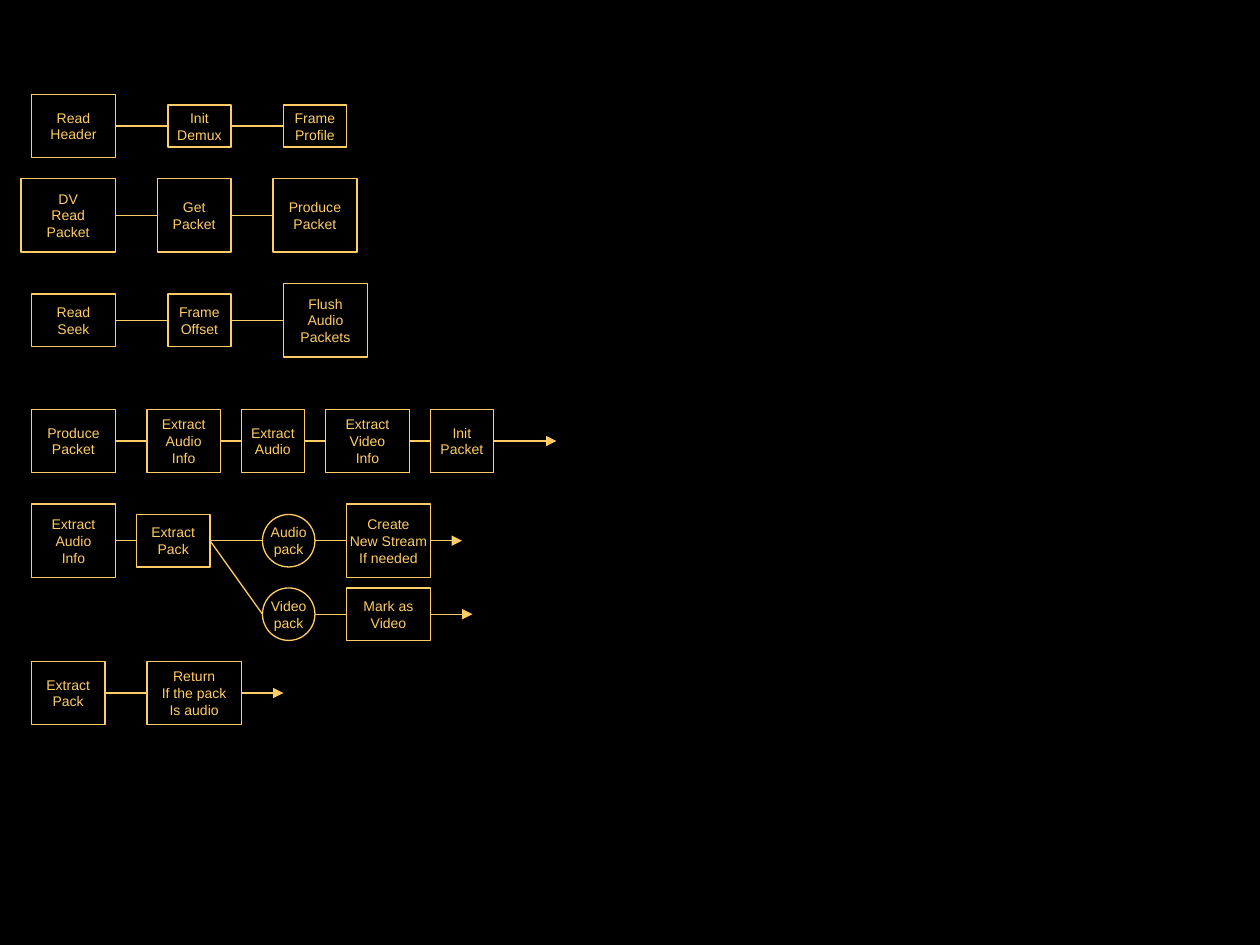
from dataclasses import dataclass
from typing import Optional

from lxml.etree import SubElement
from pptx import Presentation
from pptx.dml.color import RGBColor
from pptx.enum.shapes import MSO_CONNECTOR as Connector, MSO_SHAPE as Shape
from pptx.enum.text import MSO_ANCHOR as Anchor, PP_ALIGN as Align
from pptx.oxml.ns import qn
from pptx.util import Inches, Pt

BLACK = RGBColor(0x00, 0x00, 0x00)
AMBER = RGBColor(0xFF, 0xCC, 0x66)
FONT = "Arial"
LINE_WIDTH = Pt(0.75)
CELLS_PER_INCH = 12


@dataclass(frozen=True)
class Node:
    """A step of a flow; lengths are in grid cells."""
    left: float
    width: float
    height: float
    text: str
    kind: Shape = Shape.RECTANGLE

    @property
    def right(self) -> float:
        return self.left + self.width


@dataclass(frozen=True)
class Flow:
    """Nodes joined from left to right on one center line."""
    center: float
    nodes: tuple[Node, ...]
    arrow_end: Optional[float] = None


AUDIO_PACK = Node(25, 5, 5, "Audio\npack", Shape.OVAL)
VIDEO_PACK = Node(25, 5, 5, "Video\npack", Shape.OVAL)
PACK_SPLIT = Node(13, 7, 5, "Extract\nPack")

AUDIO_FLOW = Flow(51.5, (
    Node(3, 8, 7, "Extract\nAudio\nInfo"),
    PACK_SPLIT,
    AUDIO_PACK,
    Node(33, 8, 7, "Create\nNew Stream\nIf needed"),
), 44)
VIDEO_FLOW = Flow(58.5, (VIDEO_PACK, Node(33, 8, 5, "Mark as\nVideo")), 45)

FLOWS = (
    Flow(12, (
        Node(3, 8, 6, "Read\nHeader"),
        Node(16, 6, 4, "Init\nDemux"),
        Node(27, 6, 4, "Frame\nProfile"),
    )),
    Flow(20.5, (
        Node(2, 9, 7, "DV\nRead\nPacket"),
        Node(15, 7, 7, "Get\nPacket"),
        Node(26, 8, 7, "Produce\nPacket"),
    )),
    Flow(30.5, (
        Node(3, 8, 5, "Read\nSeek"),
        Node(16, 6, 5, "Frame\nOffset"),
        Node(27, 8, 7, "Flush\nAudio\nPackets"),
    )),
    Flow(42, (
        Node(3, 8, 6, "Produce\nPacket"),
        Node(14, 7, 6, "Extract\nAudio\nInfo"),
        Node(23, 6, 6, "Extract\nAudio"),
        Node(31, 8, 6, "Extract\nVideo\nInfo"),
        Node(41, 6, 6, "Init\nPacket"),
    ), 53),
    AUDIO_FLOW,
    VIDEO_FLOW,
    Flow(66, (
        Node(3, 7, 6, "Extract\nPack"),
        Node(14, 9, 6, "Return\nIf the pack\nIs audio"),
    ), 27),
)


def cells(count: float) -> int:
    return Inches(count / CELLS_PER_INCH)


def draw_node(slide, node: Node, center: float) -> None:
    shape = slide.shapes.add_shape(
        node.kind, cells(node.left), cells(center - node.height / 2),
        cells(node.width), cells(node.height))
    shape.shadow.inherit = False
    shape.fill.background()
    shape.line.color.rgb = AMBER
    shape.line.width = LINE_WIDTH

    frame = shape.text_frame
    frame.word_wrap = False
    frame.vertical_anchor = Anchor.MIDDLE
    for index, line in enumerate(node.text.split("\n")):
        paragraph = frame.add_paragraph() if index else frame.paragraphs[0]
        paragraph.alignment = Align.CENTER
        run = paragraph.add_run()
        run.text = line
        run.font.name = FONT
        run.font.size = Pt(8)
        run.font.color.rgb = AMBER


def draw_line(slide, start: tuple[float, float], end: tuple[float, float],
              arrow: bool = False) -> None:
    connector = slide.shapes.add_connector(
        Connector.STRAIGHT, *map(cells, start + end))
    connector.line.color.rgb = AMBER
    connector.line.width = LINE_WIDTH
    if arrow:
        SubElement(connector.line._get_or_add_ln(), qn("a:tailEnd"),
                   type="triangle")
    SubElement(connector._element.spPr, qn("a:effectLst"))


def draw_flow(slide, flow: Flow) -> None:
    for node in flow.nodes:
        draw_node(slide, node, flow.center)
    for before, after in zip(flow.nodes, flow.nodes[1:]):
        draw_line(slide, (before.right, flow.center),
                  (after.left, flow.center))
    if flow.arrow_end is not None:
        draw_line(slide, (flow.nodes[-1].right, flow.center),
                  (flow.arrow_end, flow.center), arrow=True)


def main() -> None:
    presentation = Presentation()
    presentation.slide_width = Inches(10)
    presentation.slide_height = Inches(7.5)

    # Blank slide on black
    slide = presentation.slides.add_slide(presentation.slide_layouts[6])
    slide.background.fill.solid()
    slide.background.fill.fore_color.rgb = BLACK

    # Call flows
    for flow in FLOWS:
        draw_flow(slide, flow)

    # Branch from the pack split down to the video flow
    draw_line(slide, (PACK_SPLIT.right, AUDIO_FLOW.center),
              (VIDEO_PACK.left, VIDEO_FLOW.center))

    presentation.save("out.pptx")


if __name__ == "__main__":
    main()
